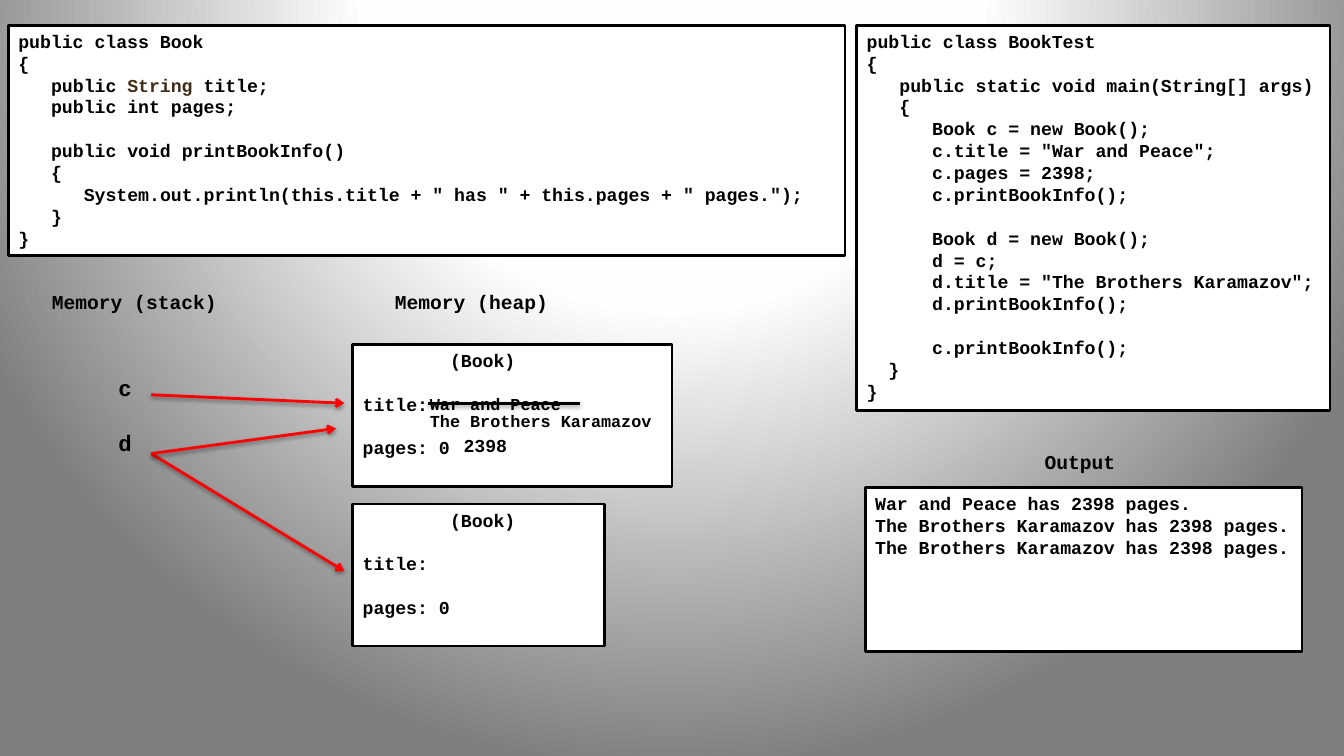
from lxml.etree import SubElement
from pptx import Presentation
from pptx.dml.color import RGBColor as RGB
from pptx.enum.shapes import MSO_CONNECTOR as CONNECTOR, MSO_SHAPE as SHAPE
from pptx.enum.text import MSO_ANCHOR as ANCHOR, PP_ALIGN as ALIGN
from pptx.oxml import parse_xml
from pptx.oxml.ns import nsdecls, qn
from pptx.util import Pt

COLORS = {
    "ink": "000000",
    "paper": "FFFFFF",
    "glow": "FEFEFE",
    "edge": "7F7F7F",
    "type": "422C16",
    "arrow": "FF0000",
}
FONT = "Courier New"
CODE_SIZE = 13
CHAR_WIDTH = CODE_SIZE * 0.6
LINE_HEIGHT = CODE_SIZE * 1.2

BOOK_CLASS = """public class Book
{
   public String title;
   public int pages;

   public void printBookInfo()
   {
      System.out.println(this.title + " has " + this.pages + " pages.");
   }
}"""

BOOK_TEST = """public class BookTest
{
   public static void main(String[] args)
   {
      Book c = new Book();
      c.title = "War and Peace";
      c.pages = 2398;
      c.printBookInfo();

      Book d = new Book();
      d = c;
      d.title = "The Brothers Karamazov";
      d.printBookInfo();

      c.printBookInfo();
  }
}"""

BOOK_OBJECT = """        (Book)

title:

pages: 0"""

PRINTED = """War and Peace has 2398 pages.
The Brothers Karamazov has 2398 pages.
The Brothers Karamazov has 2398 pages."""


def color(name):
    return RGB.from_string(COLORS[name])


def style(paragraph, size):
    font = paragraph.font
    font.name, font.size, font.bold = FONT, Pt(size), True
    paragraph.alignment = ALIGN.LEFT


def paint_background(slide):
    slide.background.fill.solid()
    stops = "".join(
        f'<a:gs pos="{percent * 1000}"><a:srgbClr val="{COLORS[name]}"/></a:gs>'
        for percent, name in ((0, "paper"), (40, "glow"), (100, "edge")))
    gradient = parse_xml(
        f'<a:gradFill {nsdecls("a")} rotWithShape="1"><a:gsLst>{stops}</a:gsLst>'
        '<a:path path="circle"><a:fillToRect l="50000" t="-80000" r="50000" b="180000"/>'
        '</a:path></a:gradFill>')
    solid = next(slide.element.iter(qn("p:bgPr"))).find(qn("a:solidFill"))
    solid.getparent().replace(solid, gradient)


def add_listing(slide, box, listing, highlight=None):
    panel = slide.shapes.add_shape(SHAPE.RECTANGLE, *map(Pt, box))
    panel.shadow.inherit = False
    panel.fill.solid()
    panel.fill.fore_color.rgb = color("paper")
    panel.line.color.rgb = color("ink")
    panel.line.width = Pt(2)
    frame = panel.text_frame
    frame.word_wrap = True
    frame.vertical_anchor = ANCHOR.TOP
    gap = 0
    for line in listing.splitlines():
        code = line.lstrip()
        if not code:
            gap += LINE_HEIGHT
            continue
        paragraph = frame.add_paragraph() if frame.text else frame.paragraphs[0]
        style(paragraph, CODE_SIZE)
        paragraph.font.color.rgb = color("ink")
        paragraph.space_before = Pt(gap)
        indent = (len(line) - len(code)) * CHAR_WIDTH
        paragraph._p.get_or_add_pPr().set("marL", str(Pt(indent)))
        gap = 0
        if highlight and highlight in code:
            before, after = code.split(highlight)
            paragraph.add_run().text = before
            marked = paragraph.add_run()
            marked.text = highlight
            marked.font.color.rgb = color("type")
            paragraph.add_run().text = after
        else:
            paragraph.add_run().text = code


def add_label(slide, box, text, size=14):
    label = slide.shapes.add_textbox(*map(Pt, box))
    label.text_frame.word_wrap = False
    paragraph = label.text_frame.paragraphs[0]
    paragraph.text = text
    style(paragraph, size)
    paragraph.font.color.rgb = color("ink")


def add_stroke(slide, start, end, name, arrow=False):
    stroke = slide.shapes.add_connector(
        CONNECTOR.STRAIGHT, *map(Pt, (*start, *end)))
    stroke.line.color.rgb = color(name)
    stroke.line.width = Pt(2)
    if arrow:
        SubElement(stroke.line._get_or_add_ln(), qn("a:tailEnd"), type="arrow")
    stroke._element.spPr.append(parse_xml(
        f'<a:effectLst {nsdecls("a")}><a:outerShdw blurRad="{Pt(3.1)}" dist="{Pt(1.6)}" '
        f'dir="5400000" rotWithShape="0"><a:srgbClr val="{COLORS["ink"]}">'
        '<a:alpha val="38000"/></a:srgbClr></a:outerShdw></a:effectLst>'))


def add_stack(slide, box):
    left, top, width, height = box
    add_label(slide, (left, top, width, 24.5), "Memory (stack)")
    for row, variable in enumerate("cd"):
        add_label(slide, (left + 47.5, top + 60.5 + row * 39, 24.5, 26.6), variable, 16)


def add_heap(slide, box):
    left, top, width, height = box
    add_label(slide, (left + 23, top, 124.6, 24.5), "Memory (heap)")
    add_listing(slide, (left, top + 42.5, width, 101.5), BOOK_OBJECT)
    add_listing(slide, (left, top + 156.5, 180, 101.5), BOOK_OBJECT)
    add_label(slide, (left + 48, top + 74.3, 110, 21.8), "War and Peace", 12)
    add_label(slide, (left + 48, top + 86.5, 174, 21.8), "The Brothers Karamazov", 12)
    add_label(slide, (left + 72, top + 103, 46, 23), "2398", CODE_SIZE)
    add_stroke(slide, (left + 54, top + 84.5), (left + 162, top + 84.5), "ink")


def add_references(slide, box):
    left, top, width, height = box
    c, d = (left, top), (left, top + 42)
    for start, end in (
        (c, (left + width, top + 6)),
        (d, (left + width, top + height)),
        (d, (left + width - 6, top + 24)),
    ):
        add_stroke(slide, start, end, "arrow", arrow=True)


def add_output(slide, box):
    left, top, width, height = box
    add_label(slide, (left + 121, top, 65.5, 24.5), "Output")
    add_listing(slide, (left, top + 30, width, height - 30), PRINTED)


def main():
    deck = Presentation()
    deck.slide_width, deck.slide_height = Pt(960), Pt(540)
    slide = deck.slides.add_slide(deck.slide_layouts[6])
    paint_background(slide)
    add_listing(slide, (6, 18, 597.6, 164.6), BOOK_CLASS, highlight="String")
    add_listing(slide, (612, 18, 338, 275), BOOK_TEST)
    add_stack(slide, (30, 203.5, 133, 123))
    add_heap(slide, (252, 203.5, 228, 258))
    add_references(slide, (108, 282, 138, 126))
    add_output(slide, (618, 318, 312, 147.5))
    deck.save("out.pptx")


if __name__ == "__main__":
    main()
